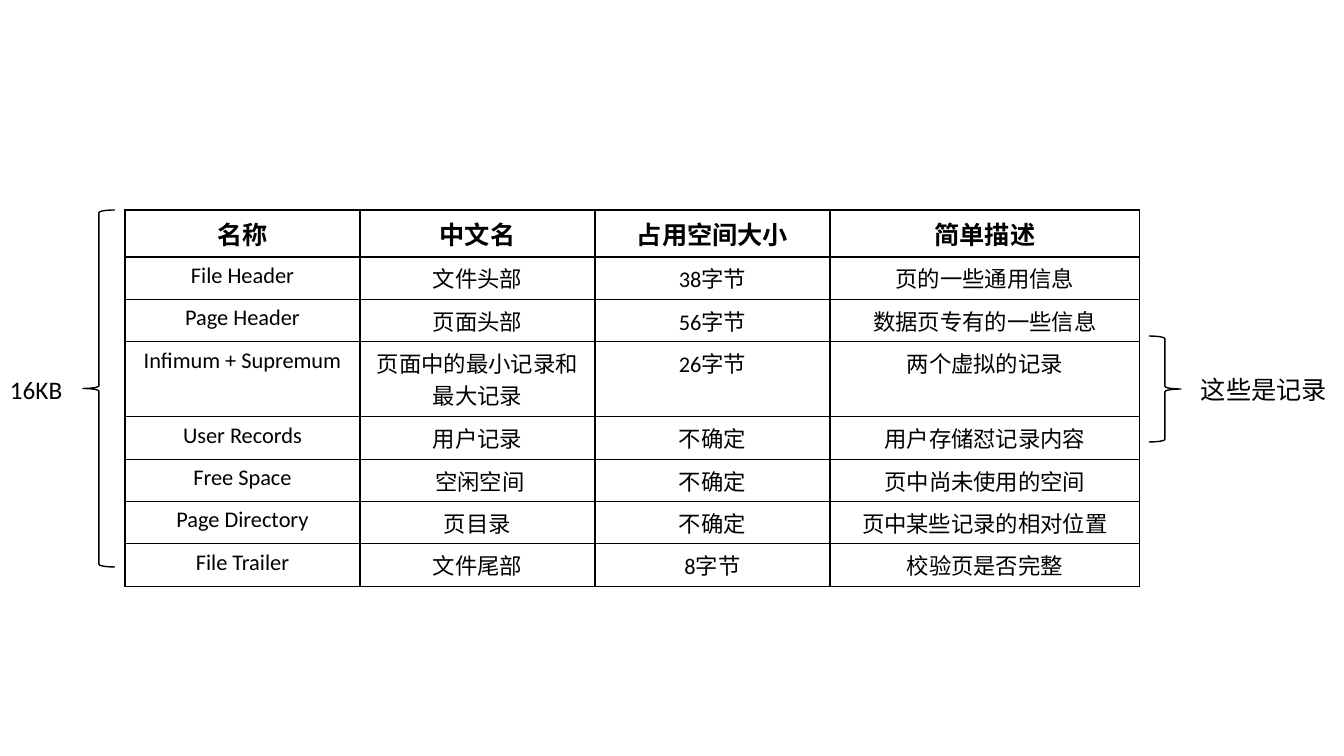
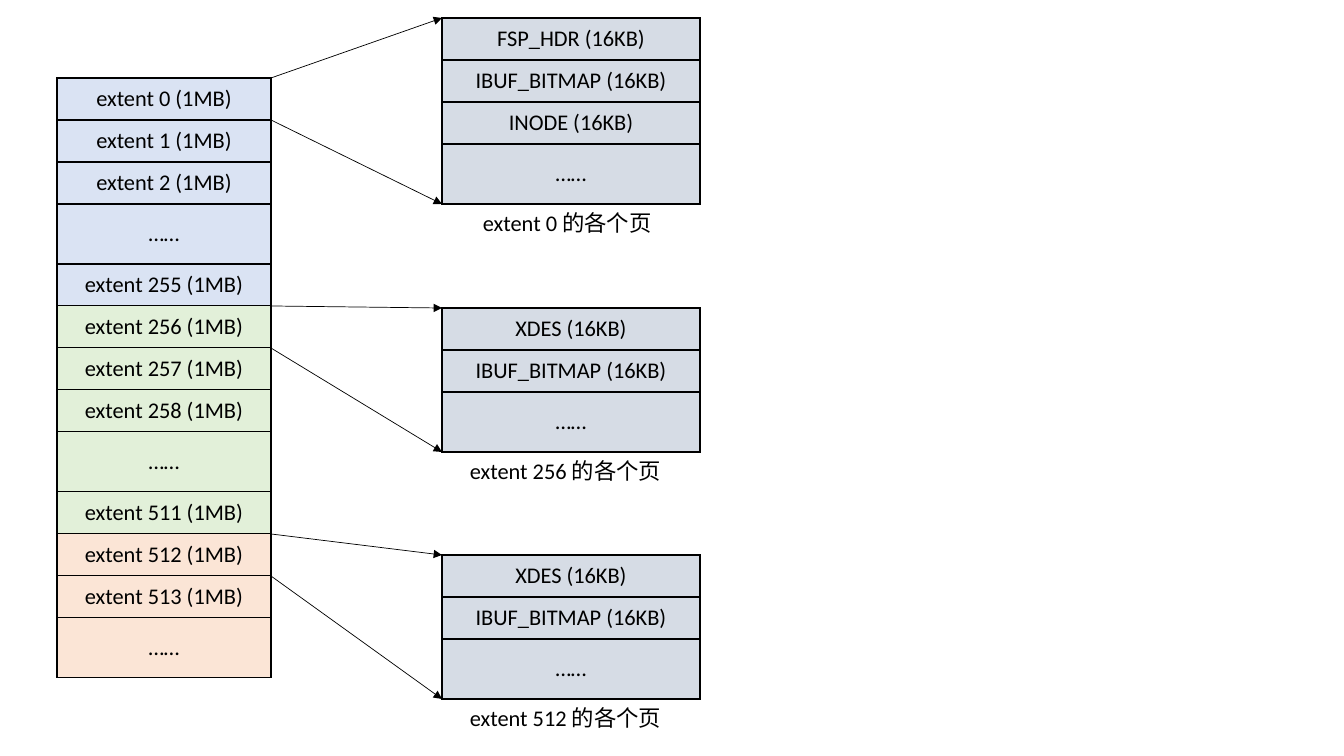
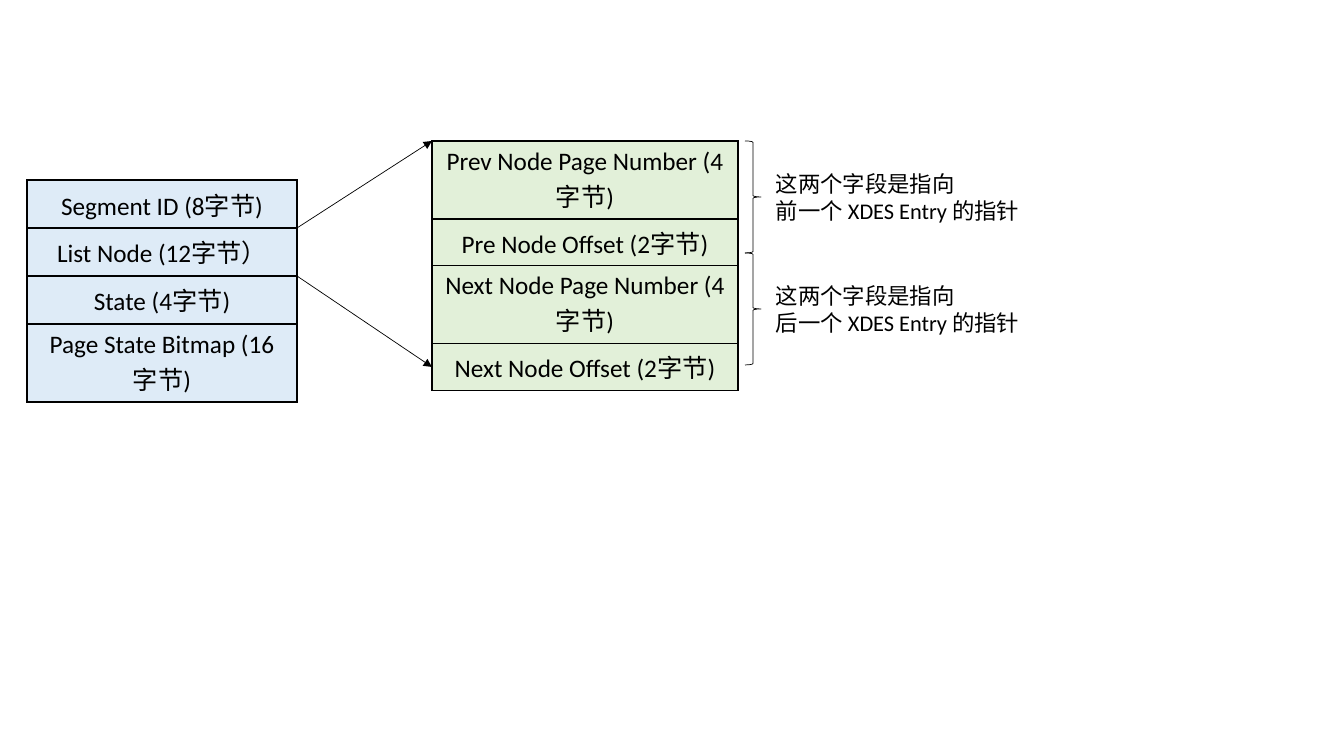
from itertools import accumulate

from lxml.etree import SubElement
from pptx import Presentation
from pptx.dml.color import RGBColor
from pptx.enum.shapes import MSO_CONNECTOR, MSO_SHAPE
from pptx.enum.text import MSO_ANCHOR, MSO_AUTO_SIZE, PP_ALIGN
from pptx.oxml.ns import qn
from pptx.util import Emu, Pt

FONT = "Calibri"
COLORS = {
    "ink": "000000", "blue": "DAE3F3", "green": "E2F0D9", "orange": "FBE5D6",
    "gray": "D6DCE5", "sky": "DEEBF7",
}

PAGE_PARTS = [
    ("名称", "中文名", "占用空间大小", "简单描述"),
    ("File Header", "文件头部", "38字节", "页的一些通用信息"),
    ("Page Header", "页面头部", "56字节", "数据页专有的一些信息"),
    ("Infimum + Supremum", "页面中的最小记录和最大记录", "26字节", "两个虚拟的记录"),
    ("User Records", "用户记录", "不确定", "用户存储怼记录内容"),
    ("Free Space", " 空闲空间", "不确定", "页中尚未使用的空间"),
    ("Page Directory", "页目录", "不确定", "页中某些记录的相对位置"),
    ("File Trailer", "文件尾部", "8字节", "校验页是否完整"),
]
PAGE_COLUMNS = [235, 235, 235, 310]
PAGE_ROWS = [47, 42, 42, 75, 42, 42, 42, 42]

MORE = "……"
EXTENT_GROUPS = [
    ("blue", [0, 1, 2, MORE, 255]),
    ("green", [256, 257, 258, MORE, 511]),
    ("orange", [512, 513, MORE]),
]
EXTENT_PAGES = [
    (0, 18, 196, ["FSP_HDR", "IBUF_BITMAP", "INODE", MORE]),
    (256, 308, 222, ["XDES", "IBUF_BITMAP", MORE]),
    (512, 555, 222, ["XDES", "IBUF_BITMAP", MORE]),
]

ENTRY_FIELDS = [
    ("Segment ID (8字节)", 48), ("List Node (12字节）", 48),
    ("State (4字节)", 48), ("Page State Bitmap (16字节)", 78),
]
NODE_FIELDS = [
    ("Prev Node Page Number (4字节)", 78), ("Pre Node Offset (2字节)", 46),
    ("Next Node Page Number (4字节)", 78), ("Next Node Offset (2字节)", 46),
]
POINTER_NOTES = [
    "这两个字段是指向\n前一个 XDES Entry 的指针",
    "这两个字段是指向\n后一个 XDES Entry 的指针",
]


def px(n):
    return Emu(round(n * 914400 / 100.8))


def rgb(name):
    return RGBColor.from_string(COLORS[name])


def write(tf, text, size=16, bold=False, align=PP_ALIGN.LEFT):
    for i, line in enumerate(text.split("\n")):
        p = tf.paragraphs[0] if i == 0 else tf.add_paragraph()
        p.alignment = align
        r = p.add_run()
        r.text = line
        r.font.name = FONT
        r.font.size = Pt(size)
        r.font.bold = bold
        r.font.color.rgb = rgb("ink")


def add_label(s, text, x, y, w, h, size=16):
    tf = s.shapes.add_textbox(px(x), px(y), px(w), px(h)).text_frame
    tf.word_wrap = False
    tf.auto_size = MSO_AUTO_SIZE.SHAPE_TO_FIT_TEXT
    write(tf, text, size=size)


def add_brace(s, kind, x, y, w, h, weight=1):
    sp = s.shapes.add_shape(kind, px(x), px(y), px(w), px(h))
    sp.shadow.inherit = False
    sp.fill.background()
    sp.line.color.rgb = rgb("ink")
    sp.line.width = Pt(weight)


def add_arrow(s, x1, y1, x2, y2):
    line = s.shapes.add_connector(MSO_CONNECTOR.STRAIGHT, px(x1), px(y1), px(x2), px(y2))
    line.line.color.rgb = rgb("ink")
    line.line.width = Pt(0.5)
    SubElement(line.line._get_or_add_ln(), qn("a:tailEnd"), type="triangle")
    SubElement(line._element.spPr, qn("a:effectLst"))


def add_borders(cell):
    tc_pr = cell._tc.get_or_add_tcPr()
    for side in ("lnL", "lnR", "lnT", "lnB"):
        ln = SubElement(tc_pr, qn("a:" + side), w=str(Pt(1)))
        fill = SubElement(ln, qn("a:solidFill"))
        SubElement(fill, qn("a:srgbClr"), val=COLORS["ink"])


def add_grid(s, x, y, rows, widths, heights, fills=None, size=16, header=False):
    frame = s.shapes.add_table(len(rows), len(widths), px(x), px(y),
                               px(sum(widths)), px(sum(heights)))
    table = frame.table
    table.first_row = table.horz_banding = False
    for column, w in zip(table.columns, widths):
        column.width = px(w)
    for i, texts in enumerate(rows):
        table.rows[i].height = px(heights[i])
        is_head = header and i == 0
        for cell, text in zip(table.rows[i].cells, texts):
            add_borders(cell)
            if fills:
                cell.fill.solid()
                cell.fill.fore_color.rgb = rgb(fills[i])
                cell.vertical_anchor = MSO_ANCHOR.MIDDLE
            else:
                cell.fill.background()
            write(cell.text_frame, text, size=18 if is_head else size,
                  bold=is_head, align=PP_ALIGN.CENTER)
    return list(accumulate(heights, initial=y))


def add_stack(s, x, y, w, texts, heights, fills, size=16):
    return add_grid(s, x, y, [(t,) for t in texts], [w], heights, fills, size)


def stack_heights(items):
    return [60 if item == MORE else 42 for item in items]


def build_page_layout(s):
    add_grid(s, 125, 210, PAGE_PARTS, PAGE_COLUMNS, PAGE_ROWS, header=True)
    add_brace(s, MSO_SHAPE.LEFT_BRACE, 83, 210, 32, 357)
    add_label(s, "16KB", 0, 369, 83, 40, size=18)
    add_brace(s, MSO_SHAPE.RIGHT_BRACE, 1149, 336, 32, 106)
    add_label(s, "这些是记录", 1191, 369, 146, 40, size=18)


def build_extents(s):
    left, width, page_left, page_width = 57, 214, 442, 258
    extents = [(n, color) for color, group in EXTENT_GROUPS for n in group]
    numbers = [n for n, color in extents]
    texts = [n if n == MORE else f"extent {n} (1MB)" for n in numbers]
    edges = add_stack(s, left, 78, width, texts, stack_heights(numbers),
                      [color for n, color in extents])
    for number, top, caption_width, pages in EXTENT_PAGES:
        texts = [t if t == MORE else f"{t} (16KB)" for t in pages]
        page_edges = add_stack(s, page_left, top, page_width, texts,
                               stack_heights(pages), ["gray"] * len(pages))
        row = numbers.index(number)
        bottom = page_edges[-1]
        add_arrow(s, left + width, edges[row], page_left, top)
        add_arrow(s, left + width, edges[row + 1], page_left, bottom)
        add_label(s, f"extent {number} 的各个页",
                  page_left + (page_width - caption_width) / 2, bottom, caption_width, 37)


def build_entry(s):
    left, width, node_left, node_top, node_width = 27, 270, 432, 141, 306
    texts, heights = zip(*ENTRY_FIELDS)
    edges = add_stack(s, left, 180, width, texts, heights, ["sky"] * len(texts), size=18)
    texts, heights = zip(*NODE_FIELDS)
    add_stack(s, node_left, node_top, node_width, texts, heights,
              ["green"] * len(texts), size=18)
    add_arrow(s, left + width, edges[1], node_left, node_top)
    add_arrow(s, left + width, edges[2], node_left, 367)
    brace_height, note_height = 112, 64
    for i, note in enumerate(POINTER_NOTES):
        y = node_top + i * brace_height
        add_brace(s, MSO_SHAPE.RIGHT_BRACE, 745, y, 16, brace_height, weight=0.5)
        add_label(s, note, 766, y + (brace_height - note_height) / 2, 283, note_height)


def main():
    prs = Presentation()
    prs.slide_width, prs.slide_height = px(1344), px(756)
    for build in (build_page_layout, build_extents, build_entry):
        build(prs.slides.add_slide(prs.slide_layouts[6]))
    prs.save("out.pptx")


if __name__ == "__main__":
    main()
